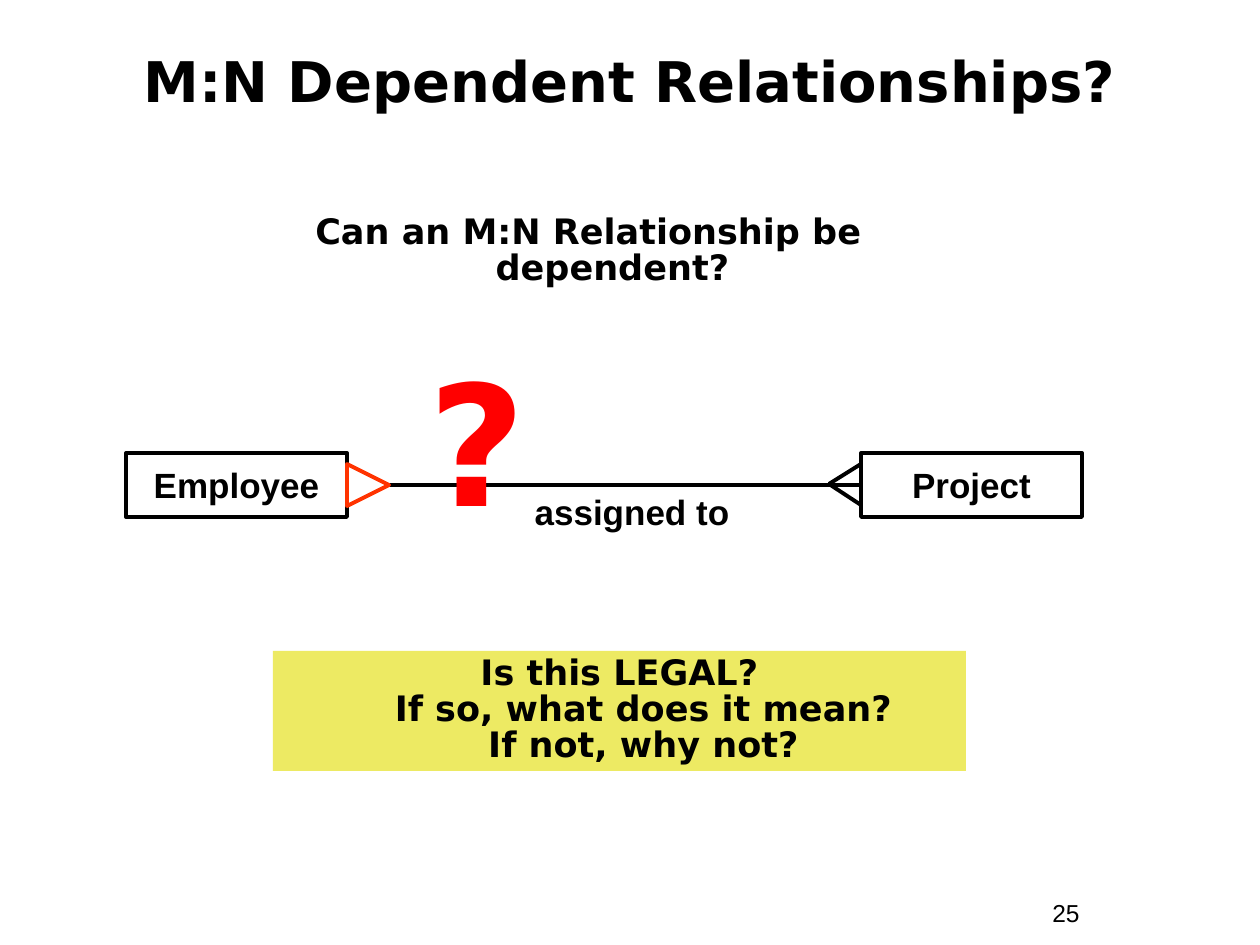
from dataclasses import dataclass

from lxml import etree
from pptx import Presentation
from pptx.dml.color import RGBColor
from pptx.enum.shapes import MSO_CONNECTOR, MSO_SHAPE
from pptx.enum.text import MSO_ANCHOR, MSO_AUTO_SIZE, PP_ALIGN
from pptx.oxml.ns import qn
from pptx.util import Emu, Pt

RECT = MSO_SHAPE.RECTANGLE
CROW = MSO_SHAPE.FLOWCHART_EXTRACT
LINE = MSO_CONNECTOR.STRAIGHT
MID, TOP = MSO_ANCHOR.MIDDLE, MSO_ANCHOR.TOP
LEFT, CENTER = PP_ALIGN.LEFT, PP_ALIGN.CENTER
FIT, FIXED = MSO_AUTO_SIZE.SHAPE_TO_FIT_TEXT, MSO_AUTO_SIZE.NONE

COLORS = {"ink": "000000", "crow": "FF3300", "mark": "FF0000", "note": "EDEA63"}
SANS, WIDE = "Arial", "DejaVu Sans"
STROKE = Pt(2.25)
HANG = 48  # hanging indent of the questions


@dataclass
class Box:
    left: int
    top: int
    width: int
    height: int


@dataclass
class Style:
    font: str = SANS
    size: int = 20
    bold: bool = True
    color: str = "ink"
    align: PP_ALIGN = CENTER
    space: float = 1.0
    hang: int = 0


def px(n: int) -> Emu:
    return Emu(round(n * 914400 / 126))


def rgb(name: str) -> RGBColor:
    return RGBColor.from_string(COLORS[name])


def place(box: Box) -> list[Emu]:
    return [px(n) for n in (box.left, box.top, box.width, box.height)]


def write(shape, lines: list[str], style: Style, anchor=TOP, wrap=True, size=FIT) -> None:
    frame = shape.text_frame
    frame.word_wrap, frame.vertical_anchor, frame.auto_size = wrap, anchor, size
    para = frame.paragraphs[0]
    para.alignment, para.line_spacing = style.align, style.space
    if style.hang:
        props = para._p.get_or_add_pPr()
        props.set("marL", str(px(style.hang)))
        props.set("indent", str(-px(style.hang)))
    for i, line in enumerate(lines):
        if i:
            para.add_line_break()
        run = para.add_run()
        run.text = line
        font = run.font
        font.name, font.size, font.bold = style.font, Pt(style.size), style.bold
        font.color.rgb = rgb(style.color)


def add_text(slide, box: Box, text: str, style: Style) -> None:
    write(slide.shapes.add_textbox(*place(box)), [text], style)


def add_shape(slide, kind, box: Box, line: str = "", fill: str = ""):
    shape = slide.shapes.add_shape(kind, *place(box))
    shape.shadow.inherit = False
    if fill:
        shape.fill.solid()
        shape.fill.fore_color.rgb = rgb(fill)
    else:
        shape.fill.background()
    if line:
        shape.line.color.rgb = rgb(line)
        shape.line.width = STROKE
    else:
        shape.line.fill.background()
    return shape


def add_line(slide, x1: int, y1: int, x2: int, y2: int):
    line = slide.shapes.add_connector(LINE, px(x1), px(y1), px(x2), px(y2))
    line.line.color.rgb = rgb("ink")
    line.line.width = STROKE
    etree.SubElement(line._element.spPr, qn("a:effectLst"))
    return line


def main() -> None:
    deck = Presentation()
    deck.slide_width, deck.slide_height = px(1260), px(945)
    slide = deck.slides.add_slide(deck.slide_layouts[5])

    # Title and page number
    title = slide.shapes.title
    title.left, title.top, title.width, title.height = place(Box(42, 44, 1176, 82))
    write(title, ["M:N Dependent Relationships?"],
          Style(WIDE, 32, space=0.85), MID, size=FIXED)
    add_text(slide, Box(1040, 892, 116, 43), "25", Style(size=14, bold=False, align=LEFT))

    # Entities
    ends = {}
    for name, left in (("Project", 861), ("Employee", 126)):
        ends[name] = add_shape(slide, RECT, Box(left, 453, 221, 64), "ink")
        write(ends[name], [name], Style(), MID, wrap=False, size=FIXED)

    # Relationship with a crow's foot at each end
    link = add_line(slide, 861, 485, 390, 485)
    link.begin_connect(ends["Project"], 1)
    add_text(slide, Box(514, 484, 236, 55), "assigned to", Style())
    foot = add_shape(slide, CROW, Box(347, 464, 42, 42), "crow")
    foot.rotation = 90
    for y in (464, 505):
        add_line(slide, 829, 484, 861, y)

    # Questions
    ask = Style(WIDE, space=0.85, hang=HANG)
    add_text(slide, Box(242, 210, 693, 84), "Can an M:N Relationship be dependent?", ask)
    note = add_shape(slide, RECT, Box(273, 651, 693, 120), fill="note")
    write(note, ["Is this LEGAL?", "If so, what does it mean?", "If not, why not?"], ask)
    add_text(slide, Box(388, 355, 179, 194), "?", Style(WIDE, 96, color="mark", space=0.9))

    deck.save("out.pptx")


if __name__ == "__main__":
    main()
